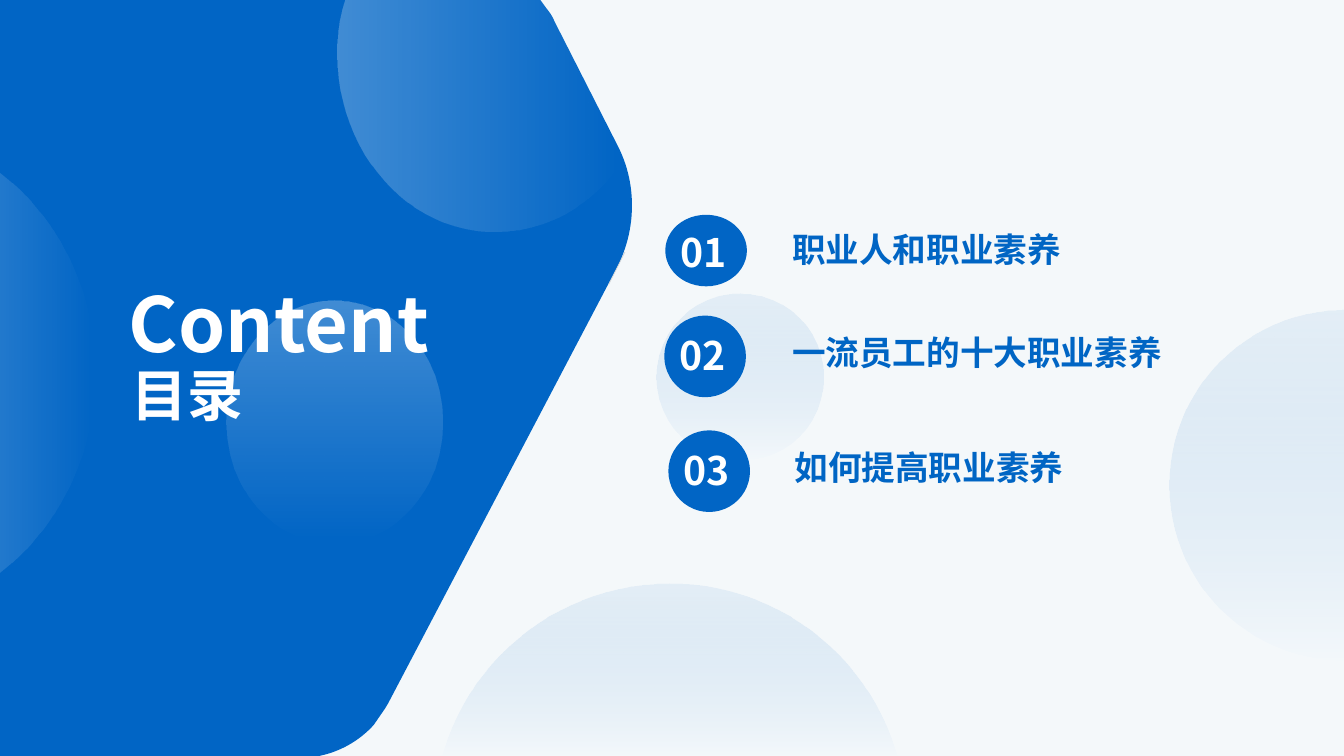
from dataclasses import dataclass

from lxml import etree
from pptx import Presentation
from pptx.dml.color import RGBColor
from pptx.enum.shapes import MSO_CONNECTOR, MSO_SHAPE
from pptx.oxml.ns import qn
from pptx.util import Pt

ELLIPSE = MSO_SHAPE.OVAL
STRAIGHT = MSO_CONNECTOR.STRAIGHT
CURVE_STEPS = 24
ACROSS, DOWN = 0, 90


@dataclass(frozen=True)
class Theme:
    """Colours, font and type sizes; gradient stops are (colour, opacity %)."""
    background: str = "F4F8FA"
    blue: str = "0165C5"
    label: str = "0065C4"
    white: str = "FFFFFF"
    edge: str = "CFD2D4"
    glow: tuple = (("F2F9FF", 27), ("F2F9FF", 0))
    faint_glow: tuple = (("F2F9FF", 14), ("F2F9FF", 0))
    mist: tuple = (("0165C5", 7), ("F2F9FF", 24))
    font: str = "Noto Sans CJK SC"
    title_size: int = 54
    subtitle_size: int = 40
    number_size: int = 28
    label_size: int = 24


def flatten(start, segments):
    """Turn points and cubic curves (three points each) into a list of points."""
    points = [start]
    for segment in segments:
        if len(segment) == 2:
            points.append(segment)
            continue
        controls = (points[-1], *segment)
        for step in range(1, CURVE_STEPS + 1):
            t = step / CURVE_STEPS
            weights = ((1 - t) ** 3, 3 * t * (1 - t) ** 2, 3 * t * t * (1 - t), t ** 3)
            points.append(tuple(
                sum(weight * point[axis] for weight, point in zip(weights, controls))
                for axis in (0, 1)))
    return points


class SlideBuilder:
    """Draws elements on one slide in one theme."""

    def __init__(self, slide, theme):
        """Keep the slide and theme, and paint the background."""
        self.slide = slide
        self.theme = theme
        fill = slide.background.fill
        fill.solid()
        fill.fore_color.rgb = RGBColor.from_string(theme.background)

    def paint(self, shape, fill, angle=DOWN):
        """Fill a shape with a colour or gradient stops, without outline or shadow."""
        shape.shadow.inherit = False
        shape.line.fill.background()
        if isinstance(fill, str):
            shape.fill.solid()
            shape.fill.fore_color.rgb = RGBColor.from_string(fill)
            return
        shape.fill.gradient()
        gradient = shape.element.spPr.find(qn("a:gradFill"))
        for child in list(gradient):
            gradient.remove(child)
        stops = etree.SubElement(gradient, qn("a:gsLst"))
        for position, (colour, opacity) in zip((0, 100000), fill):
            stop = etree.SubElement(stops, qn("a:gs"), pos=str(position))
            tint = etree.SubElement(stop, qn("a:srgbClr"), val=colour)
            etree.SubElement(tint, qn("a:alpha"), val=str(opacity * 1000))
        etree.SubElement(gradient, qn("a:lin"), ang=str(angle * 60000), scaled="0")

    def ellipse(self, left, top, width, height, fill):
        """Add an ellipse."""
        shape = self.slide.shapes.add_shape(
            ELLIPSE, Pt(left), Pt(top), Pt(width), Pt(height))
        self.paint(shape, fill)

    def outline(self, start, segments, fill, angle=DOWN):
        """Add a closed freeform of straight and curved segments."""
        first, *others = [(Pt(x), Pt(y)) for x, y in flatten(start, segments)]
        builder = self.slide.shapes.build_freeform(*first)
        builder.add_line_segments(others, close=True)
        self.paint(builder.convert_to_shape(), fill, angle)

    def line(self, start, end, colour, width):
        """Add a straight line."""
        connector = self.slide.shapes.add_connector(
            STRAIGHT, *(Pt(value) for value in (*start, *end)))
        connector.line.color.rgb = RGBColor.from_string(colour)
        connector.line.width = Pt(width)
        etree.SubElement(connector.element.spPr, qn("a:effectLst"))

    def text(self, content, left, top, width, height, size, colour):
        """Add a bold one-line text box."""
        box = self.slide.shapes.add_textbox(Pt(left), Pt(top), Pt(width), Pt(height))
        box.text_frame.word_wrap = True
        run = box.text_frame.paragraphs[0].add_run()
        run.text = content
        run.font.name = self.theme.font
        run.font.size = Pt(size)
        run.font.bold = True
        run.font.color.rgb = RGBColor.from_string(colour)
        etree.SubElement(run.font._element, qn("a:ea"), typeface=self.theme.font)


def draw_backdrop(builder):
    """Draw the blue panel and the translucent circles."""
    theme = builder.theme
    builder.outline((0, 0), [
        (0, 540), (228, 540),
        ((243, 537), (257, 529), (267.1, 517.7)),
        (275, 506.2), (277.2, 502.6), (442.8, 187.2), (444.2, 183.6),
        ((454.3, 159.1), (454.3, 129.6), (441.4, 104.4)),
        (396, 15.1),
        ((394.6, 11.5), (392.4, 8.6), (390.2, 5.8)),
        (386, 0)], theme.blue)
    builder.outline((247, 0), [
        ((242.6, 13), (241.2, 25.9), (241.2, 38.9)),
        ((241.2, 108.7), (291.6, 165.6), (354.2, 165.6)),
        ((389.5, 165.6), (420.5, 147.6), (441.4, 119.5)),
        (445.7, 113), (441.4, 104.4), (396, 15.1), (386, 0)], theme.glow, ACROSS)
    builder.ellipse(162, 214.6, 154.1, 173.5, theme.glow)
    builder.outline((0, 123.6), [
        ((40.9, 154.6), (67.7, 206.9), (67.7, 266.4)),
        ((67.7, 325.9), (40.9, 378.2), (0, 409.2))], theme.faint_glow, ACROSS)
    builder.outline((960, 221), [
        (947.5, 221.8),
        ((884.2, 228.2), (835.2, 281.5), (835.2, 346.3)),
        ((835.2, 411.1), (884.2, 464.4), (947.5, 470.9)),
        (960, 471.6)], theme.mist)
    builder.outline((478.1, 416.9), [
        ((402.5, 416.9), (338.4, 466.6), (316.8, 535.7)),
        (315.4, 540), (640.8, 540), (639.4, 535.7),
        ((617.8, 466.6), (553.7, 416.9), (478.1, 416.9))], theme.mist)
    builder.line((434.9, 203), (446.4, 180), theme.edge, 0.5)
    builder.ellipse(468.7, 209.5, 119.5, 119.5, theme.mist)


def draw_contents(builder):
    """Draw the heading and the numbered chapters."""
    theme = builder.theme
    builder.text("目录", 87.1, 254.2, 240, 55.4, theme.subtitle_size, theme.white)
    builder.text("Content", 85, 194.4, 240, 72.7, theme.title_size, theme.white)
    # Number, chapter, badge left, badge top, badge height, text top, chapter left
    chapters = (
        ("01", "职业人和职业素养", 475.2, 153.4, 51.1, 159.8, 558.7),
        ("02", "一流员工的十大职业素养", 474.5, 225.4, 58.3, 233.3, 558.7),
        ("03", "如何提高职业素养", 477.4, 307.4, 58.3, 315.4, 560.5),
    )
    for number, chapter, left, top, height, text_top, chapter_left in chapters:
        builder.text(chapter, chapter_left, text_top, 300, 40,
                     theme.label_size, theme.label)
        builder.ellipse(left, top, 58.3, height, theme.blue)
        builder.text(number, left + 3.6, text_top, 51.1, 41,
                     theme.number_size, theme.white)


def main():
    """Build and save the contents slide."""
    presentation = Presentation()
    presentation.slide_width, presentation.slide_height = Pt(960), Pt(540)
    slide = presentation.slides.add_slide(presentation.slide_layouts[6])
    builder = SlideBuilder(slide, Theme())
    draw_backdrop(builder)
    draw_contents(builder)
    presentation.save("out.pptx")


main()
